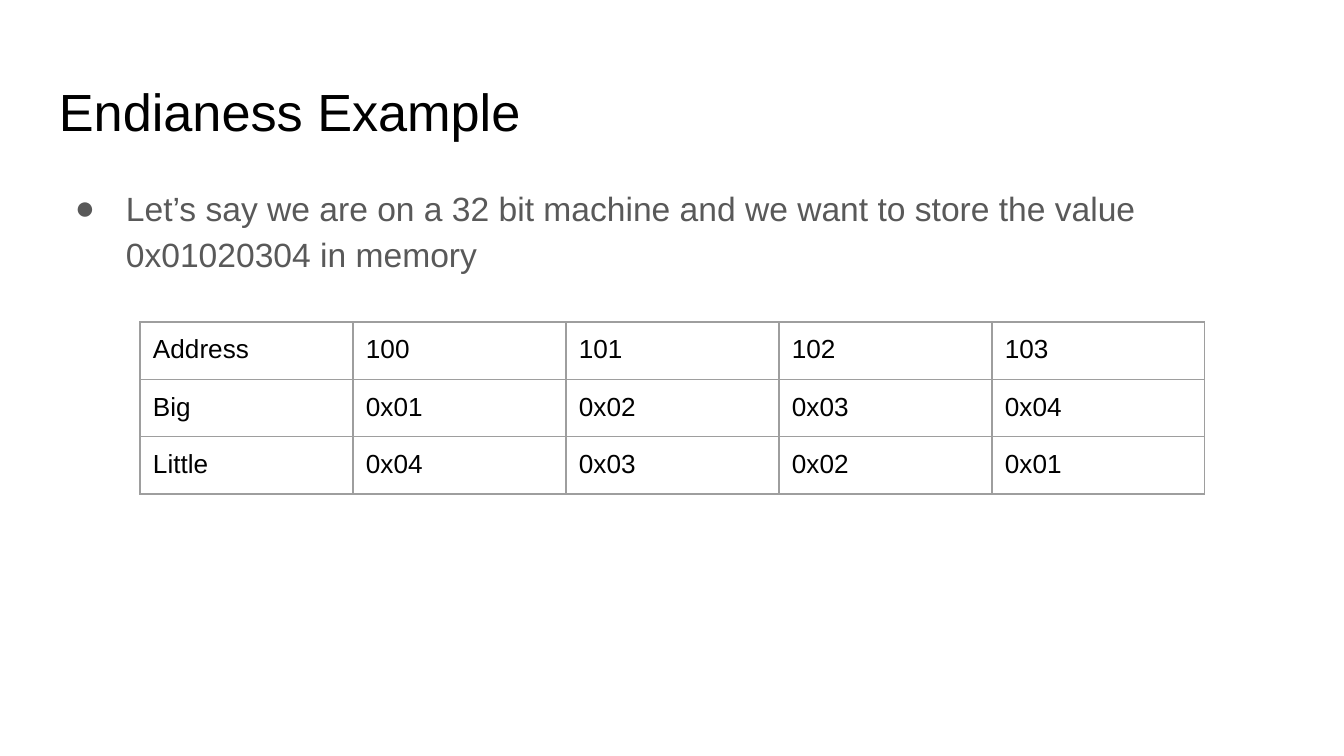
"""Builds the endianness example slide with its byte order table."""
from dataclasses import dataclass

from lxml import etree
from pptx import Presentation
from pptx.dml.color import RGBColor
from pptx.oxml.ns import qn
from pptx.util import Emu, Pt

PX_PER_INCH = 134.4
FONT = "Arial"
BLACK, GRAY, BORDER = "000000", "595959", "9E9E9E"
INSET = 13
COLUMN_WIDTH, ROW_HEIGHT = 213, 56
BYTE_ORDERS = [
    ("Address", "100", "101", "102", "103"),
    ("Big", "0x01", "0x02", "0x03", "0x04"),
    ("Little", "0x04", "0x03", "0x02", "0x01"),
]


@dataclass(frozen=True)
class TextBlock:
    text: str
    left: int
    top: int
    width: int
    height: int
    size: int
    color: str
    bullet: str = ""


BLOCKS = [
    TextBlock("Endianess Example", 46, 66, 1253, 85, 28, BLACK),
    TextBlock("Let’s say we are on a 32 bit machine and we want to store the value "
              "0x01020304 in memory", 46, 169, 1253, 503, 18, GRAY, "●"),
]


def px(length: int) -> Emu:
    return Emu(round(length * 914400 / PX_PER_INCH))


def rgb(value: str) -> RGBColor:
    return RGBColor.from_string(value)


def style_paragraph(paragraph, size: int, color: str) -> None:
    paragraph.font.name = FONT
    paragraph.font.size = Pt(size)
    paragraph.font.color.rgb = rgb(color)


def set_insets(holder) -> None:
    holder.margin_left = holder.margin_right = px(INSET)
    holder.margin_top = holder.margin_bottom = px(INSET)


def add_bullet(paragraph, symbol: str, color: str) -> None:
    paragraph.line_spacing = 1.15
    properties = paragraph._p.get_or_add_pPr()
    properties.set("marL", str(px(67)))
    properties.set("indent", str(px(-51)))
    bullet_color = etree.SubElement(properties, qn("a:buClr"))
    etree.SubElement(bullet_color, qn("a:srgbClr"), val=color)
    etree.SubElement(properties, qn("a:buFont"), typeface=FONT)
    etree.SubElement(properties, qn("a:buChar"), char=symbol)


def add_text(slide, block: TextBlock) -> None:
    frame = slide.shapes.add_textbox(
        px(block.left), px(block.top), px(block.width), px(block.height)).text_frame
    frame.word_wrap = True
    set_insets(frame)
    paragraph = frame.paragraphs[0]
    paragraph.text = block.text
    if block.bullet:
        add_bullet(paragraph, block.bullet, block.color)
    style_paragraph(paragraph, block.size, block.color)


def add_borders(cell) -> None:
    properties = cell._tc.get_or_add_tcPr()
    for position, side in enumerate(("lnL", "lnR", "lnT", "lnB")):
        line = etree.Element(qn(f"a:{side}"), w=str(Pt(0.75)))
        fill = etree.SubElement(line, qn("a:solidFill"))
        etree.SubElement(fill, qn("a:srgbClr"), val=BORDER)
        properties.insert(position, line)


def add_byte_table(slide, left: int, top: int) -> None:
    row_count, column_count = len(BYTE_ORDERS), len(BYTE_ORDERS[0])
    table = slide.shapes.add_table(
        row_count, column_count, px(left), px(top),
        px(COLUMN_WIDTH * column_count), px(ROW_HEIGHT * row_count)).table
    table.first_row = table.horz_banding = False
    for row, values in zip(table.rows, BYTE_ORDERS):
        for cell, value in zip(row.cells, values):
            cell.text = value
            set_insets(cell)
            cell.fill.background()
            add_borders(cell)
            style_paragraph(cell.text_frame.paragraphs[0], 14, BLACK)


def main() -> None:
    deck = Presentation()
    deck.slide_width, deck.slide_height = px(1344), px(756)
    slide = deck.slides.add_slide(deck.slide_layouts[6])
    for block in BLOCKS:
        add_text(slide, block)
    add_byte_table(slide, 140, 322)
    deck.save("out.pptx")


if __name__ == "__main__":
    main()
